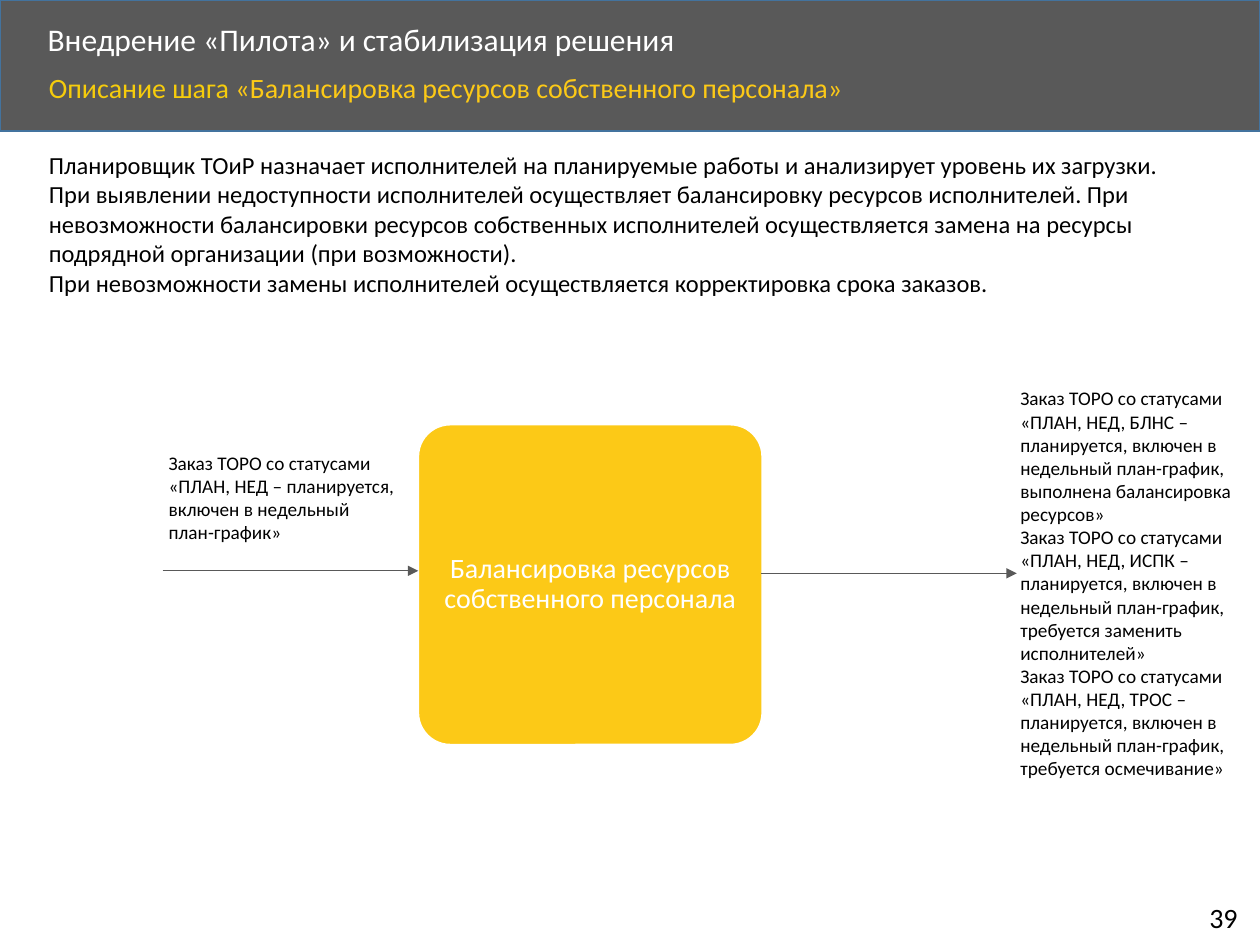
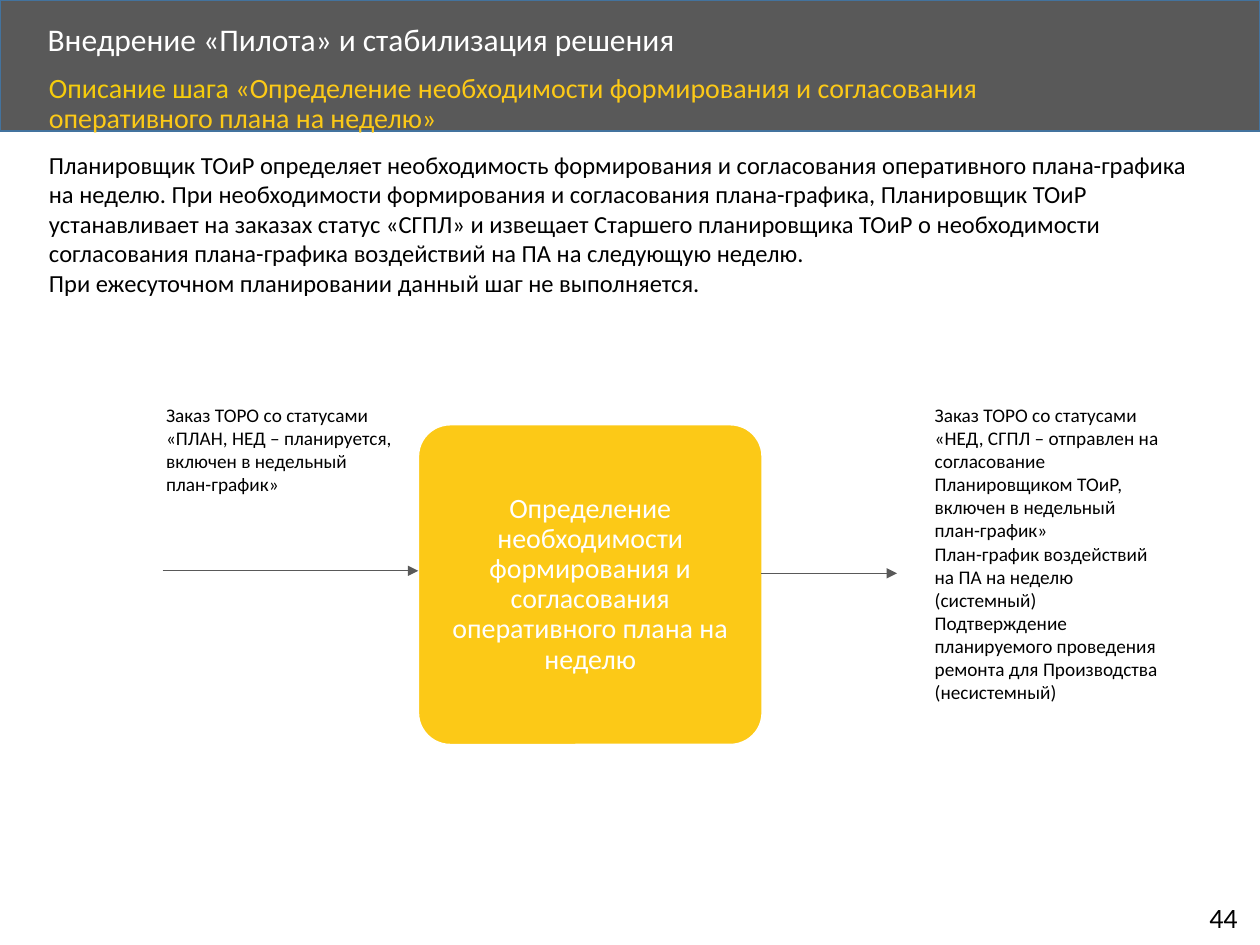
from lxml.etree import SubElement
from pptx import Presentation
from pptx.dml.color import RGBColor
from pptx.enum.shapes import MSO_CONNECTOR, MSO_SHAPE
from pptx.enum.text import MSO_ANCHOR, MSO_AUTO_SIZE, PP_ALIGN
from pptx.oxml.ns import qn
from pptx.util import Emu, Pt

SCALE = 9144
FONT = "Calibri"
COLORS = {
    "band": "595959",
    "band_edge": "43739E",
    "heading": "F6CC0C",
    "accent": "FCC917",
    "light": "FFFFFF",
    "text": "000000",
}
HEADING = "Внедрение «Пилота» и стабилизация решения"
STEP_PREFIX = "Описание шага "
PLANNED_ORDER = "Заказ ТОРО со статусами «ПЛАН, НЕД – планируется, включен в недельный план-график»"
BALANCE_STATUSES = {
    "БЛНС": "выполнена балансировка ресурсов",
    "ИСПК": "требуется заменить исполнителей",
    "ТРОС": "требуется осмечивание",
}

STEPS = [
    {
        "number": 39,
        "name": "Балансировка ресурсов собственного персонала",
        "description": [
            "Планировщик ТОиР назначает исполнителей на планируемые работы и анализирует уровень их загрузки.",
            "При выявлении недоступности исполнителей осуществляет балансировку ресурсов исполнителей. "
            "При невозможности балансировки ресурсов собственных исполнителей осуществляется замена "
            "на ресурсы подрядной организации (при возможности).",
            "При невозможности замены исполнителей осуществляется корректировка срока заказов.",
        ],
        "input_box": (124, 353, 200, 84),
        "outputs": [
            f"Заказ ТОРО со статусами «ПЛАН, НЕД, {status} – планируется, включен в недельный план-график, {result}»"
            for status, result in BALANCE_STATUSES.items()
        ],
        "output_box": (800, 302, 200, 325),
        "arrow_end": 807,
    },
    {
        "number": 44,
        "name": "Определение необходимости формирования и согласования оперативного плана на неделю",
        "description": [
            "Планировщик ТОиР определяет необходимость формирования и согласования оперативного "
            "плана-графика на неделю. При необходимости формирования и согласования плана-графика, "
            "Планировщик ТОиР устанавливает на заказах статус «СГПЛ» и извещает Старшего планировщика "
            "ТОиР о необходимости согласования плана-графика воздействий на ПА на следующую неделю.",
            "При ежесуточном планировании данный шаг не выполняется.",
        ],
        "input_box": (122, 315, 200, 84),
        "outputs": [
            "Заказ ТОРО со статусами «НЕД, СГПЛ – отправлен на согласование Планировщиком ТОиР, "
            "включен в недельный план-график»",
            "План-график воздействий на ПА на неделю (системный)",
            "Подтверждение планируемого проведения ремонта для Производства (несистемный)",
        ],
        "output_box": (732, 315, 200, 251),
        "arrow_end": 712,
    },
]


def px(length):
    """Turn px into EMU."""
    return Emu(length * SCALE)


def rgb(name):
    """Look up a named colour."""
    return RGBColor.from_string(COLORS[name])


def write(frame, paragraphs, size=11, color="text", align=PP_ALIGN.LEFT, spacing=1.0,
          anchor=MSO_ANCHOR.TOP, wrap=True, grow=False):
    """Fill a text frame; a paragraph is a string or a list of (text, colour) spans."""
    frame.word_wrap = wrap
    frame.auto_size = MSO_AUTO_SIZE.SHAPE_TO_FIT_TEXT if grow else MSO_AUTO_SIZE.NONE
    frame.vertical_anchor = anchor
    for index, content in enumerate(paragraphs):
        para = frame.add_paragraph() if index else frame.paragraphs[0]
        para.alignment = align
        para.line_spacing = spacing
        for text, span_color in [(content, color)] if isinstance(content, str) else content:
            span = para.add_run()
            span.text = text
            span.font.name = FONT
            span.font.size = Pt(size)
            span.font.color.rgb = rgb(span_color)


class StepDeck:
    """Holds the presentation style and the current page."""

    def __init__(self):
        """Start an empty deck."""
        self.deck = Presentation()
        self.deck.slide_width, self.deck.slide_height = px(1000), px(750)
        self.page = None

    def text(self, area, paragraphs, **style):
        """Add a text box."""
        box = self.page.shapes.add_textbox(*map(px, area))
        write(box.text_frame, paragraphs, **style)

    def panel(self, kind, area, fill, edge):
        """Add a filled, outlined shape."""
        shape = self.page.shapes.add_shape(kind, *map(px, area))
        shape.shadow.inherit = False
        shape.fill.solid()
        shape.fill.fore_color.rgb = rgb(fill)
        shape.line.color.rgb = rgb(edge)
        shape.line.width = Pt(1)
        return shape

    def arrow(self, start, end, height):
        """Add a horizontal arrow."""
        line = self.page.shapes.add_connector(
            MSO_CONNECTOR.STRAIGHT, px(start), px(height), px(end), px(height))
        line.line.color.rgb = rgb("band")
        line.line.width = Pt(0.5)
        SubElement(line.line._get_or_add_ln(), qn("a:tailEnd"), type="triangle")
        SubElement(line._element.spPr, qn("a:effectLst"))

    def step_block(self, name):
        """Add the central rounded block with the step name."""
        block = self.panel(MSO_SHAPE.ROUNDED_RECTANGLE, (332, 337, 273, 254), "accent", "light")
        block.adjustments[0] = 0.1
        frame = block.text_frame
        frame.margin_left = frame.margin_right = px(7)
        frame.margin_top = frame.margin_bottom = px(8)
        write(frame, [name], size=16, color="light", align=PP_ALIGN.CENTER,
              spacing=0.9, anchor=MSO_ANCHOR.MIDDLE)

    def start_page(self, number):
        """Open a page with its band, heading and number."""
        self.page = self.deck.slides.add_slide(self.deck.slide_layouts[6])
        self.panel(MSO_SHAPE.RECTANGLE, (0, 0, 1000, 104), "band", "band_edge")
        self.text((28, 14, 807, 38), [HEADING], size=18, color="light", spacing=0.9,
                  anchor=MSO_ANCHOR.MIDDLE)
        self.text((950, 710, 46, 37), [str(number)], size=16, wrap=False, grow=True)

    def step_page(self, step):
        """Build the whole page of one step."""
        self.start_page(step["number"])
        title = [(STEP_PREFIX, "heading"), (f"«{step['name']}»", "accent")]
        self.text((29, 54, 865, 45), [title], size=16, spacing=0.9)
        self.text((29, 114, 946, 128), step["description"], size=14, grow=True)
        self.step_block(step["name"])
        self.arrow(129, 332, 453)
        self.text(step["input_box"], [PLANNED_ORDER], grow=True)
        self.arrow(604, step["arrow_end"], 455)
        self.text(step["output_box"], step["outputs"], grow=True)


def main():
    """Build and save the deck."""
    builder = StepDeck()
    for step in STEPS:
        builder.step_page(step)
    builder.deck.save("out.pptx")


if __name__ == "__main__":
    main()
